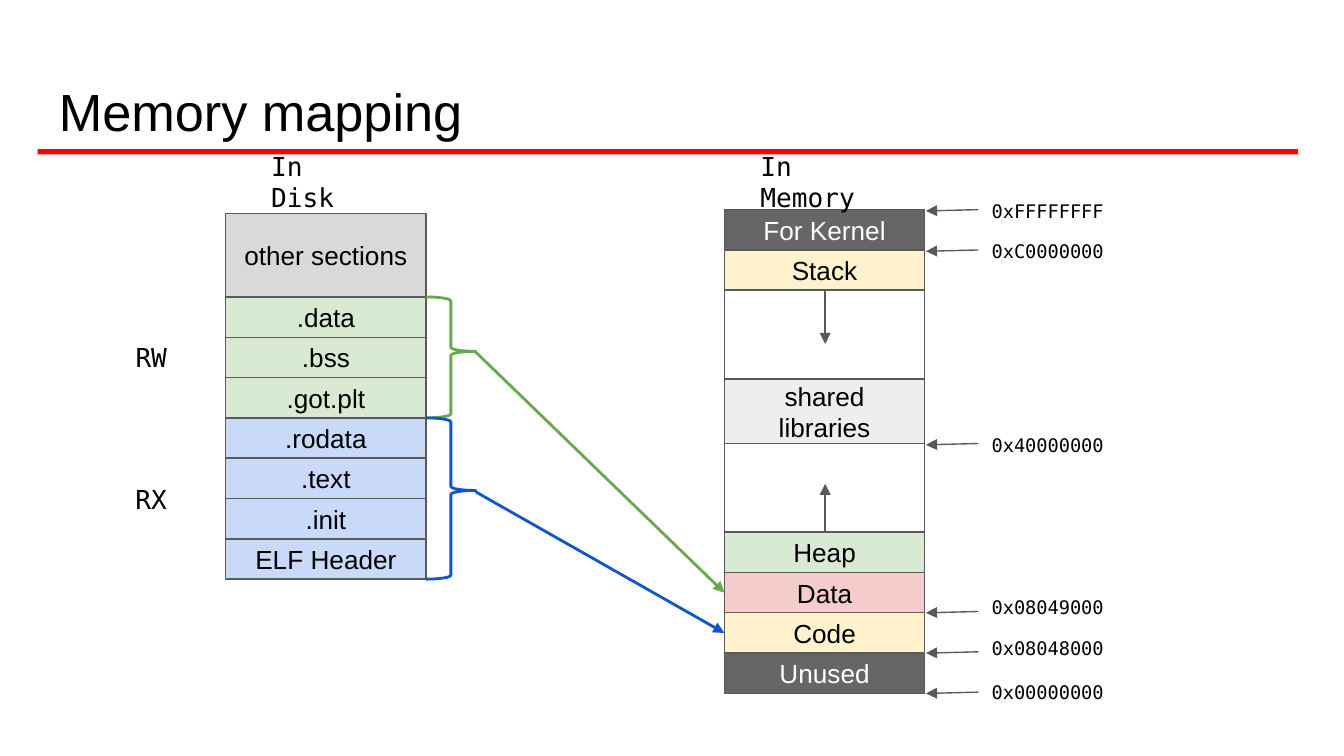
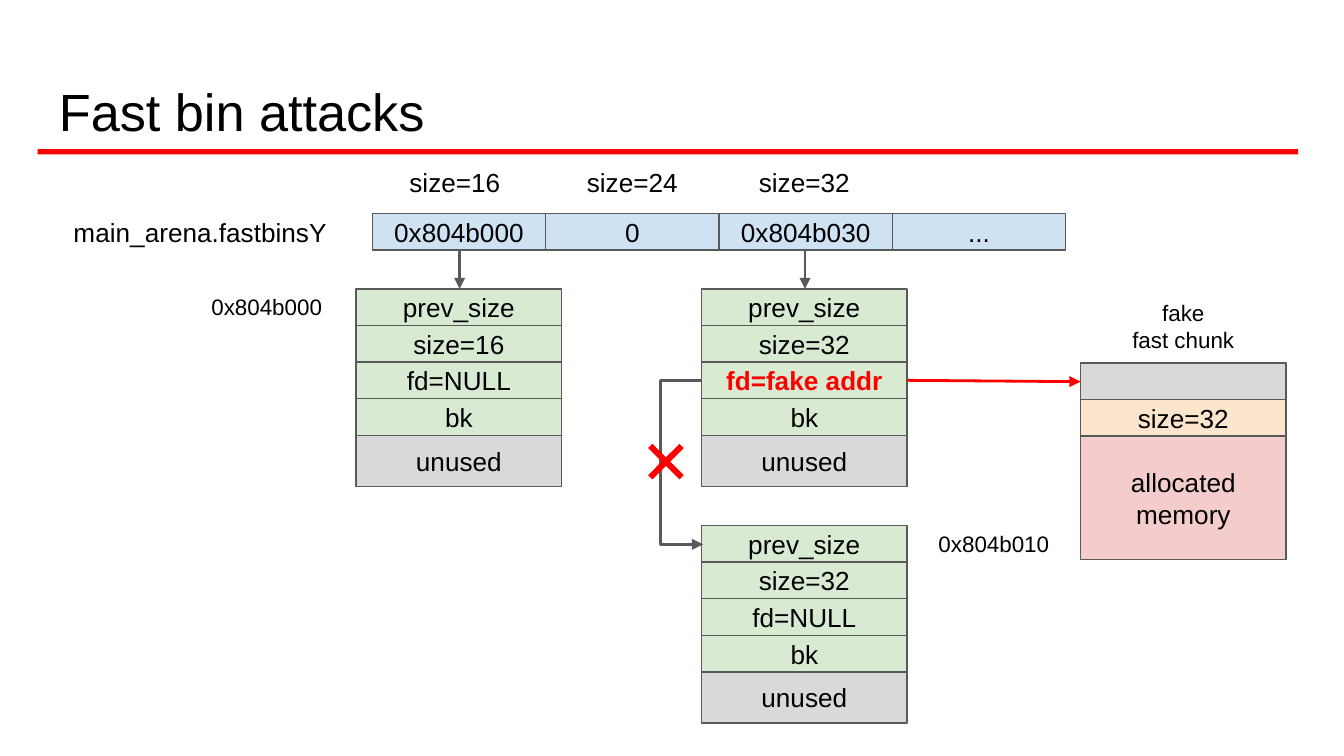
"""Build two slides on memory mapping and fast bin attacks."""
import pptx
import pptx.dml.color
import pptx.enum.shapes
import pptx.enum.text
import pptx.oxml
import pptx.oxml.ns
import pptx.util
from lxml import etree

Inches = pptx.util.Inches
SHAPE = pptx.enum.shapes.MSO_SHAPE
CONNECTOR = pptx.enum.shapes.MSO_CONNECTOR
ALIGN = pptx.enum.text.PP_ALIGN
ANCHOR = pptx.enum.text.MSO_ANCHOR

SLIDE_W = 10
SLIDE_H = SLIDE_W * 9 / 16
SANS, MONO = "Arial", "DejaVu Sans Mono"
BLACK, WHITE, RED, EDGE = "000000", "FFFFFF", "FF0000", "595959"
DARK, GRAY, PALE = "666666", "D9D9D9", "EEEEEE"
GREEN, BLUE, YELLOW, PINK, PEACH, SKY = (
    "D9EAD3", "C9DAF8", "FFF2CC", "F4CCCC", "FCE5CD", "CFE2F3")
RW_COLOR, RX_COLOR = "6AA84F", "1155CC"

SECTION_H = 0.3
DISK_SECTIONS = [("other sections", GRAY, 0.62)] + [
    (name, GREEN, SECTION_H) for name in (".data", ".bss", ".got.plt")] + [
    (name, BLUE, SECTION_H) for name in (".rodata", ".text", ".init", "ELF Header")]
MEMORY_REGIONS = [
    ("For Kernel", DARK, SECTION_H, {"color": WHITE}),
    ("Stack", YELLOW, SECTION_H),
    ("", WHITE, 0.66),
    ("shared libraries", PALE, 0.48),
    ("", WHITE, 0.66),
    ("Heap", GREEN, SECTION_H),
    ("Data", PINK, SECTION_H),
    ("Code", YELLOW, SECTION_H),
    ("Unused", DARK, SECTION_H, {"color": WHITE}),
]
ADDRESSES = [
    ("0xFFFFFFFF", 1.42, 1.56),
    ("0xC0000000", 1.72, 1.86),
    ("0x40000000", 3.16, 3.3),
    ("0x08049000", 4.37, 4.55),
    ("0x08048000", 4.67, 4.85),
    ("0x00000000", 5, 5.15),
]
GROWTH = [(2.16, 2.56), (3.96, 3.6)]
SEGMENTS = [
    (2.21, 0.9, 2.62, 4.41, RW_COLOR),
    (3.11, 1.2, 3.66, 4.71, RX_COLOR),
]
MAP_LABELS = [
    ("RW", 0.91, 2.51, 0.52),
    ("RX", 0.91, 3.56, 0.46),
    ("In Disk", 1.92, 1.2, 1),
    ("In Memory", 5.56, 1.2, 1.24),
]

ROW_H = 1.09 / 4
CHUNK_W = 1.53
BINS = ["0x804b000", "0", "0x804b030", "..."]
CHUNKS = [
    (2.65, 2.15, "size=16", "fd=NULL", {}),
    (5.22, 2.15, "size=32", "fd=fake addr", {"color": RED, "bold": True}),
    (5.22, 3.91, "size=32", "fd=NULL", {}),
]
FAKE_CHUNK = [
    ("", GRAY, ROW_H),
    ("size=32", PEACH, ROW_H),
    ("allocated\nmemory", PINK, 0.92),
]
BIN_LABELS = [
    ("0x804b010", 6.75, 3.91, 1.29, 0.27, 12),
    ("0x804b000", 1.4, 2.15, 1.17, 0.27, 12),
    ("main_arena.fastbinsY", 0.25, 1.59, 2.48, 0.27, 14),
    ("size=16", 2.62, 1.22, CHUNK_W, 0.27, 14),
    ("size=24", 3.94, 1.22, CHUNK_W, 0.27, 14),
    ("size=32", 5.22, 1.22, CHUNK_W, 0.27, 14),
    ("fake\nfast chunk", 8.22, 2.22, 1.17, 0.41, 12),
]


def rgb(value):
    return pptx.dml.color.RGBColor.from_string(value)


def write(sp, text, size=14, font=SANS, color=BLACK, bold=False,
          align=ALIGN.CENTER, anchor=ANCHOR.MIDDLE):
    tf = sp.text_frame
    tf.word_wrap = True
    tf.vertical_anchor = anchor
    tf.margin_left = tf.margin_right = Inches(0.1)
    tf.margin_top = tf.margin_bottom = Inches(0.1)
    for i, line in enumerate(text.split("\n")):
        p = tf.add_paragraph() if i else tf.paragraphs[0]
        p.alignment = align
        r = p.add_run()
        r.text = line
        r.font.size = pptx.util.Pt(size)
        r.font.name = font
        r.font.bold = bold
        r.font.color.rgb = rgb(color)


def add_label(s, text, x, y, w, h, **fmt):
    write(s.shapes.add_textbox(*map(Inches, (x, y, w, h))), text, **fmt)


def add_shape(s, kind, x, y, w, h, fill=None, line=None, width=0.75):
    sp = s.shapes.add_shape(kind, *map(Inches, (x, y, w, h)))
    sp.shadow.inherit = False
    if fill:
        sp.fill.solid()
        sp.fill.fore_color.rgb = rgb(fill)
    else:
        sp.fill.background()
    if line:
        sp.line.color.rgb = rgb(line)
        sp.line.width = pptx.util.Pt(width)
    else:
        sp.line.fill.background()
    return sp


def add_cell(s, text, x, y, w, h, fill, **fmt):
    sp = add_shape(s, SHAPE.RECTANGLE, x, y, w, h, fill, EDGE)
    if text:
        write(sp, text, **fmt)


def add_stack(s, x, y, w, cells):
    for text, fill, h, *fmt in cells:
        add_cell(s, text, x, y, w, h, fill, **(fmt[0] if fmt else {}))
        y += h


def add_arrow(s, x1, y1, x2, y2, color=EDGE, width=0.75, bend_x=None):
    kind = CONNECTOR.STRAIGHT if bend_x is None else CONNECTOR.ELBOW
    cx = s.shapes.add_connector(kind, *map(Inches, (x1, y1, x2, y2)))
    cx.line.color.rgb = rgb(color)
    cx.line.width = pptx.util.Pt(width)
    qn = pptx.oxml.ns.qn
    sp_pr = cx._element.spPr
    etree.SubElement(sp_pr.find(qn("a:ln")), qn("a:tailEnd"), type="triangle")
    etree.SubElement(sp_pr, qn("a:effectLst"))
    if bend_x is not None:
        ratio = round((bend_x - x1) / (x2 - x1) * 100000)
        guides = sp_pr.find(qn("a:prstGeom")).find(qn("a:avLst"))
        etree.SubElement(guides, qn("a:gd"), name="adj1", fmla=f"val {ratio}")


def add_slide(prs, title):
    s = prs.slides.add_slide(prs.slide_layouts[6])
    add_shape(s, SHAPE.RECTANGLE, 0.28, 1.11, 9.38, 0.04, RED)
    add_label(s, title, 0.34, 0.49, 9.32, 0.63, size=28,
              align=ALIGN.LEFT, anchor=ANCHOR.TOP)
    return s


def build_memory_mapping(prs):
    s = add_slide(prs, "Memory mapping")
    disk_x, memory_x, column_w, brace_w = 1.68, 5.39, 1.49, 0.37
    add_stack(s, memory_x, 1.56, column_w, MEMORY_REGIONS)
    for start, end in GROWTH:
        add_arrow(s, 6.14, start, 6.14, end)
    for text, label_y, arrow_y in ADDRESSES:
        add_label(s, text, 7.28, label_y, 1.15, 0.3, size=10, font=MONO, align=ALIGN.LEFT)
        add_arrow(s, 7.28, arrow_y, 6.89, arrow_y + 0.01)
    add_stack(s, disk_x, 1.59, column_w, DISK_SECTIONS)
    brace_x = disk_x + column_w
    for y, h, tip_y, target_y, color in SEGMENTS:
        brace = add_shape(s, SHAPE.RIGHT_BRACE, brace_x, y, brace_w, h, line=color, width=1.5)
        brace.adjustments[0] = 0.08
        brace.adjustments[1] = 0.45
        add_arrow(s, brace_x + brace_w, tip_y, memory_x, target_y, color, 1.5)
    for text, x, y, w in MAP_LABELS:
        add_label(s, text, x, y, w, 0.3, font=MONO, align=ALIGN.LEFT)


def build_fast_bin_attacks(prs):
    s = add_slide(prs, "Fast bin attacks")
    bin_w = 1.29
    for i, text in enumerate(BINS):
        add_cell(s, text, 2.77 + i * bin_w, 1.59, bin_w, 0.27, SKY)
    for x, y, size, fd, fd_format in CHUNKS:
        add_stack(s, x, y, CHUNK_W, [
            ("prev_size", GREEN, ROW_H),
            (size, GREEN, ROW_H),
            (fd, GREEN, ROW_H, fd_format),
            ("bk", GREEN, ROW_H),
            ("unused", GRAY, 0.38),
        ])
    for x in (3.42, 5.99):
        add_arrow(s, x, 1.86, x, 2.15, width=1.5)
    add_arrow(s, 5.22, 2.83, 5.23, 4.05, width=1.5, bend_x=4.91)
    for text, x, y, w, h, size in BIN_LABELS:
        add_label(s, text, x, y, w, h, size=size)
    add_stack(s, 8.04, 2.7, CHUNK_W, FAKE_CHUNK)
    cross = add_shape(s, SHAPE.MATH_MULTIPLY, 4.73, 3.21, 0.45, 0.45, RED)
    cross.adjustments[0] = 0.1
    add_arrow(s, 6.75, 2.83, 8.04, 2.84, RED, 1.5)


def main():
    prs = pptx.Presentation()
    prs.slide_width, prs.slide_height = Inches(SLIDE_W), Inches(SLIDE_H)
    build_memory_mapping(prs)
    build_fast_bin_attacks(prs)
    prs.save("out.pptx")


if __name__ == "__main__":
    main()
